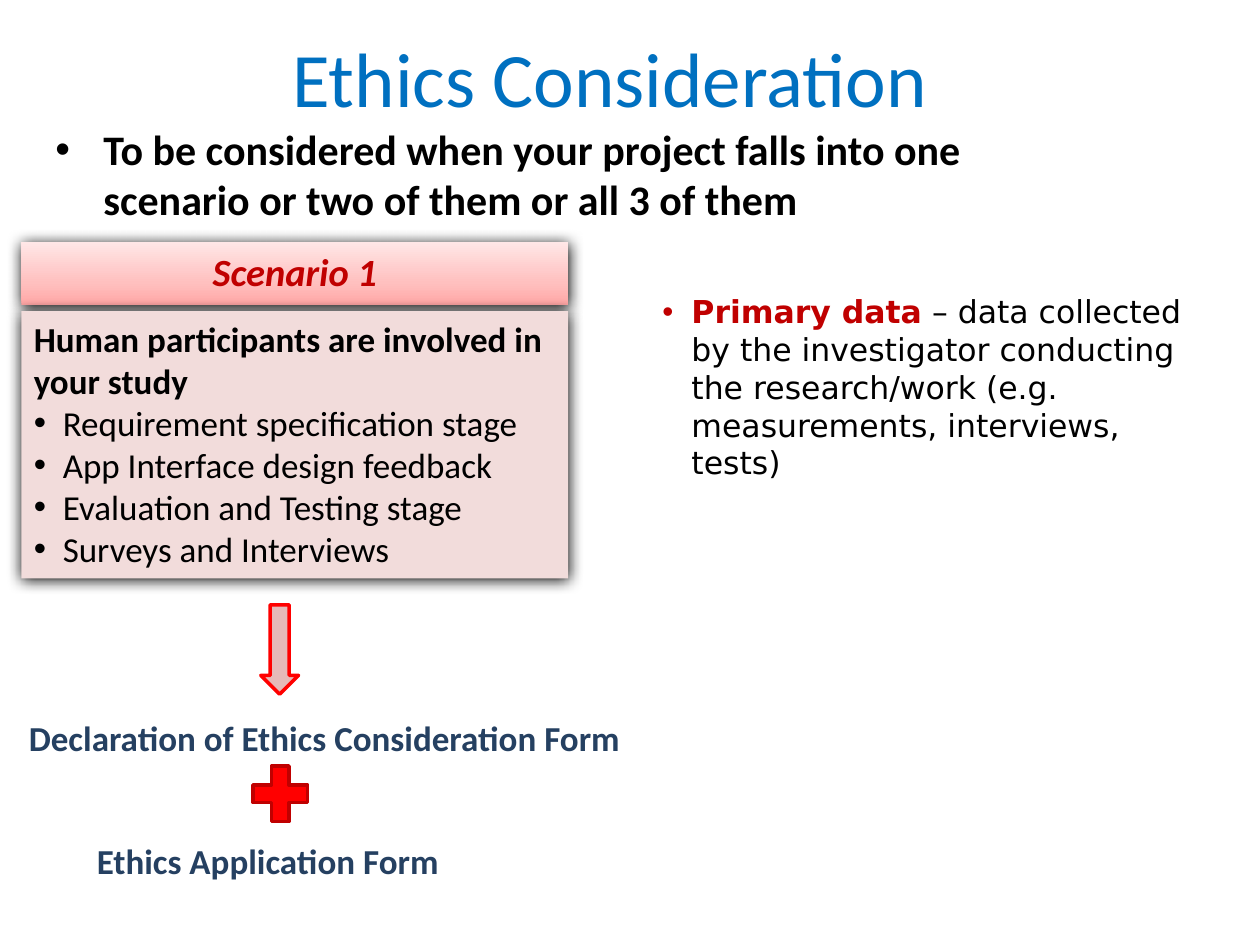
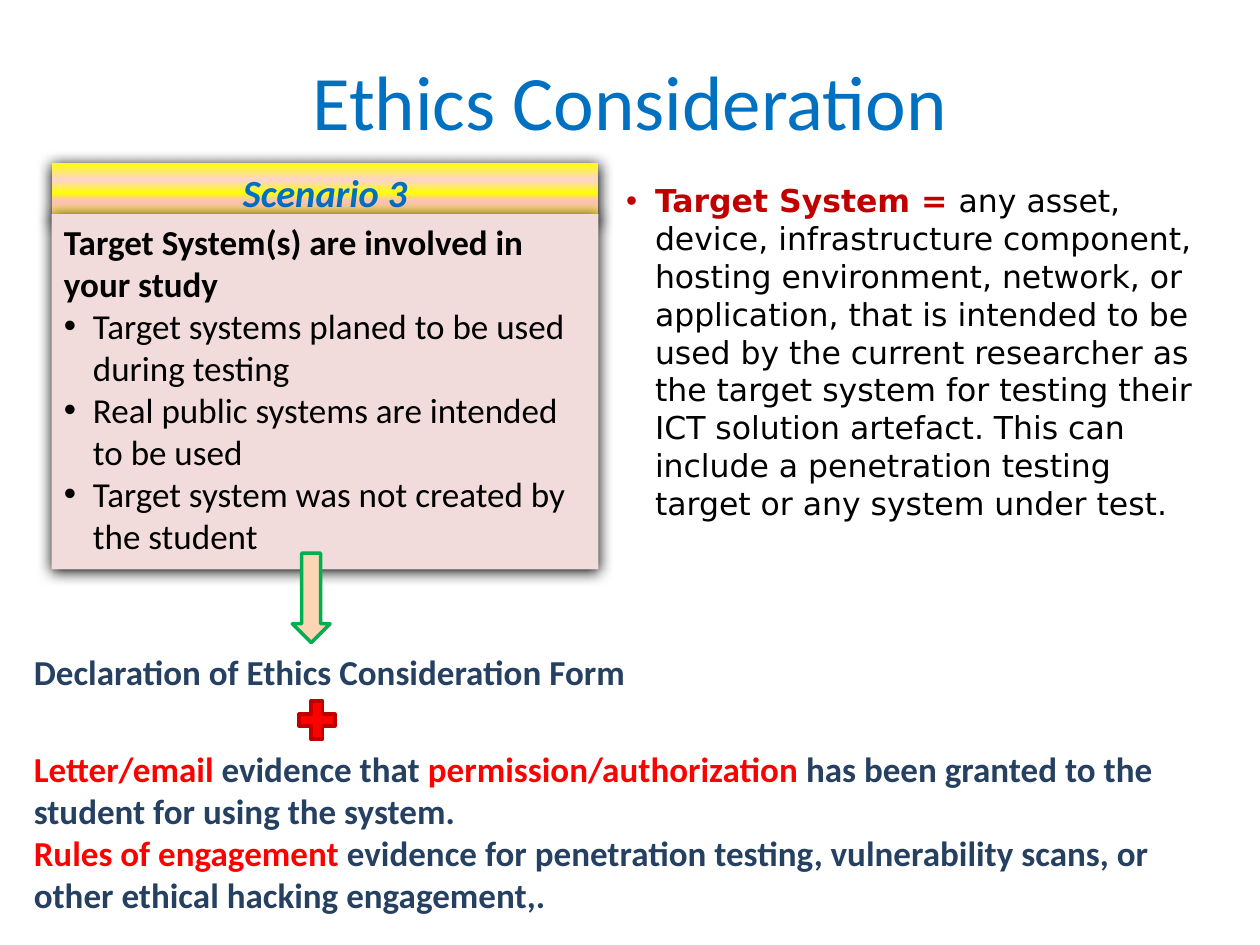
from lxml import etree
from pptx import Presentation
from pptx.dml.color import RGBColor
from pptx.enum.shapes import MSO_SHAPE
from pptx.enum.text import MSO_ANCHOR, MSO_AUTO_SIZE, PP_ALIGN
from pptx.oxml.ns import qn
from pptx.util import Inches, Pt

RECTANGLE = MSO_SHAPE.RECTANGLE
DOWN_ARROW = MSO_SHAPE.DOWN_ARROW
PLUS = MSO_SHAPE.MATH_PLUS
TOP, MIDDLE = MSO_ANCHOR.TOP, MSO_ANCHOR.MIDDLE
LEFT, CENTER = PP_ALIGN.LEFT, PP_ALIGN.CENTER
NO_AUTOFIT = MSO_AUTO_SIZE.NONE
TITLE_AND_CONTENT, TITLE_ONLY = 1, 5

COLORS = {
    "title": "0070C0",
    "text": "000000",
    "term": "C00000",
    "form": "254061",
    "alert": "FF0000",
    "plus_line": "C00000",
    "card": "F2DCDB",
    "shadow": "000000",
    "pink_arrow": "E6B9B8",
    "peach_arrow": "FCD5B5",
    "green": "00B050",
}
PINK_BAND = [(0, "FFA6A5"), (35, "FFC0BF"), (100, "FFE7E7")]
YELLOW_BAND = [(0, "FFFF00"), (35, "FFC0BF"), (49, "FFFF00"), (70, "FFD3D2"), (100, "FFFF00")]
BULLET_INDENT = 0.23
CARD_WIDTH = 4.34


def rgb(name):
    """Return the named colour."""
    return RGBColor.from_string(COLORS[name])


def add_color(parent, value, tag="a:srgbClr"):
    """Append a colour element to an XML parent."""
    etree.SubElement(parent, qn(tag)).set("val", value)


def write_paragraph(frame, *runs, align=LEFT, indent=0, size=20, font="Calibri",
                    color="text", bold=False, italic=False):
    """Add a paragraph of (text, colour, bold) runs or plain strings."""
    paragraph = frame.paragraphs[0]
    if paragraph.runs:
        paragraph = frame.add_paragraph()
    if indent:
        properties = paragraph._p.get_or_add_pPr()
        properties.set("marL", str(Inches(indent)))
        properties.set("indent", str(-Inches(indent)))
        etree.SubElement(properties, qn("a:buFont")).set("typeface", "Arial")
        etree.SubElement(properties, qn("a:buChar")).set("char", "•")
    paragraph.alignment = align
    paragraph.space_before = Pt(0)
    for item in runs:
        text, run_color, run_bold = (item, color, bold) if isinstance(item, str) else item
        run = paragraph.add_run()
        run.text = text
        run.font.name = font
        run.font.size = Pt(size)
        run.font.color.rgb = rgb(run_color)
        run.font.bold = run_bold
        run.font.italic = italic


class EthicsDeck:
    """Hold the presentation, its style and the current slide."""

    def __init__(self):
        """Start a 10 by 7.5 inch presentation."""
        self.presentation = Presentation()
        self.presentation.slide_width = Inches(10)
        self.presentation.slide_height = Inches(7.5)
        self.slide = None

    def start_slide(self, layout, left, top):
        """Add a slide with the shared title at the given place."""
        self.slide = self.presentation.slides.add_slide(self.presentation.slide_layouts[layout])
        frame = self.place(self.slide.shapes.title, left, top, 9, 0.99, MIDDLE)
        write_paragraph(frame, "Ethics Consideration", align=CENTER, size=44, color="title")

    def place(self, shape, left, top, width, height, anchor=TOP):
        """Move a shape and return its prepared text frame."""
        shape.left, shape.top = Inches(left), Inches(top)
        shape.width, shape.height = Inches(width), Inches(height)
        frame = shape.text_frame
        frame.word_wrap = True
        frame.auto_size = NO_AUTOFIT
        frame.vertical_anchor = anchor
        return frame

    def body(self, text, left, top, width, height):
        """Fill the body placeholder with one bold bullet."""
        frame = self.place(self.slide.placeholders[1], left, top, width, height)
        write_paragraph(frame, text, indent=0.38, size=24, bold=True)

    def text_box(self, left, top, width, height):
        """Add a text box and return its text frame."""
        shape = self.slide.shapes.add_textbox(0, 0, 0, 0)
        return self.place(shape, left, top, width, height)

    def form_label(self, text, left, top, width):
        """Add the bold name of a form."""
        frame = self.text_box(left, top, width, 0.44)
        write_paragraph(frame, text, color="form", bold=True)

    def definition(self, term, meaning, left, top, width, height):
        """Add a bulleted definition with a highlighted term."""
        frame = self.text_box(left, top, width, height)
        write_paragraph(frame, (term, "term", True), meaning,
                        indent=BULLET_INDENT, size=18, font="DejaVu Sans")

    def symbol(self, kind, left, top, width, height, fill, line):
        """Add an outlined arrow or plus sign."""
        shape = self.slide.shapes.add_shape(
            kind, Inches(left), Inches(top), Inches(width), Inches(height))
        shape.shadow.inherit = False
        shape.fill.solid()
        shape.fill.fore_color.rgb = rgb(fill)
        shape.line.color.rgb = rgb(line)
        shape.line.width = Pt(2)

    def panel(self, group, left, top, height):
        """Add a borderless rectangle with a soft shadow to a group."""
        shape = group.shapes.add_shape(
            RECTANGLE, Inches(left), Inches(top), Inches(CARD_WIDTH), Inches(height))
        shape.line.fill.background()
        shape.shadow.inherit = False
        effects = shape._element.spPr.find(qn("a:effectLst"))
        shadow = etree.SubElement(effects, qn("a:outerShdw"), blurRad=str(Pt(8.5)),
                                  dist=str(Pt(1)), dir="5400000", rotWithShape="0")
        add_color(shadow, COLORS["shadow"])
        return shape, self.place(shape, left, top, CARD_WIDTH, height)

    def scenario(self, name, name_color, band, heading, points, left, band_box, card_box):
        """Add a scenario card under its gradient band."""
        group = self.slide.shapes.add_group_shape()
        shape, frame = self.panel(group, left, *band_box)
        shape.fill.gradient()
        shape.fill.gradient_angle = 90
        stops = shape._element.spPr.find(".//" + qn("a:gsLst"))
        for stop in list(stops):
            stops.remove(stop)
        for position, value in band:
            add_color(etree.SubElement(stops, qn("a:gs"), pos=str(position * 1000)), value)
        write_paragraph(frame, name, align=CENTER, size=22, color=name_color,
                        bold=True, italic=True)

        shape, frame = self.panel(group, left, *card_box)
        shape.fill.solid()
        shape.fill.fore_color.rgb = rgb("card")
        write_paragraph(frame, heading, bold=True)
        for point in points:
            write_paragraph(frame, point, indent=BULLET_INDENT)


def build_human_participants(deck):
    """Build the slide on human participants."""
    deck.start_slide(TITLE_AND_CONTENT, 0.34, 0.11)
    deck.body("To be considered when your project falls into one scenario or two of them "
              "or all 3 of them", 0.34, 0.93, 8.62, 0.9)
    deck.scenario(
        "Scenario 1", "term", PINK_BAND, "Human participants are involved in your study",
        ["Requirement specification stage", "App Interface design feedback",
         "Evaluation and Testing stage", "Surveys and Interviews"],
        0.17, (1.92, 0.5), (2.47, 2.12))
    deck.definition(
        "Primary data",
        " – data collected by the investigator conducting the research/work "
        "(e.g. measurements, interviews, tests)", 5.16, 2.27, 4.34, 1.62)
    deck.symbol(DOWN_ARROW, 2.07, 4.8, 0.3, 0.71, "pink_arrow", "alert")
    deck.form_label("Declaration of Ethics Consideration Form", 0.13, 5.64, 5.21)
    deck.symbol(PLUS, 1.93, 6, 0.59, 0.6, "alert", "plus_line")
    deck.form_label("Ethics Application Form", 0.67, 6.61, 3.31)


def build_target_systems(deck):
    """Build the slide on target systems."""
    deck.start_slide(TITLE_ONLY, 0.5, 0.3)
    deck.scenario(
        "Scenario 3", "title", YELLOW_BAND, "Target System(s) are involved in your study",
        ["Target systems planed to be used during testing",
         "Real public systems are intended to be used",
         "Target system was not created by the student"],
        0.41, (1.29, 0.47), (1.7, 2.82))
    deck.definition(
        "Target System = ",
        "any asset, device, infrastructure component, hosting environment, network, or "
        "application, that is intended to be used by the current researcher as the target "
        "system for testing their ICT solution artefact. This can include a penetration "
        "testing target or any system under test.", 4.87, 1.39, 4.75, 3.13)
    deck.symbol(DOWN_ARROW, 2.32, 4.39, 0.3, 0.71, "peach_arrow", "green")
    deck.form_label("Declaration of Ethics Consideration Form", 0.17, 5.11, 5.21)
    deck.symbol(PLUS, 2.32, 5.51, 0.39, 0.41, "alert", "plus_line")
    frame = deck.text_box(0.17, 5.88, 9.3, 1.62)
    write_paragraph(
        frame, ("Letter/email ", "alert", True), "evidence that ",
        ("permission/authorization ", "alert", True),
        "has been granted to the student for using the system.", color="form", bold=True)
    write_paragraph(
        frame, ("Rules of engagement ", "alert", True),
        "evidence for penetration testing, vulnerability scans, or other ethical hacking "
        "engagement,.", color="form", bold=True)


def main():
    """Build and save the presentation."""
    deck = EthicsDeck()
    build_human_participants(deck)
    build_target_systems(deck)
    deck.presentation.save("out.pptx")


if __name__ == "__main__":
    main()
